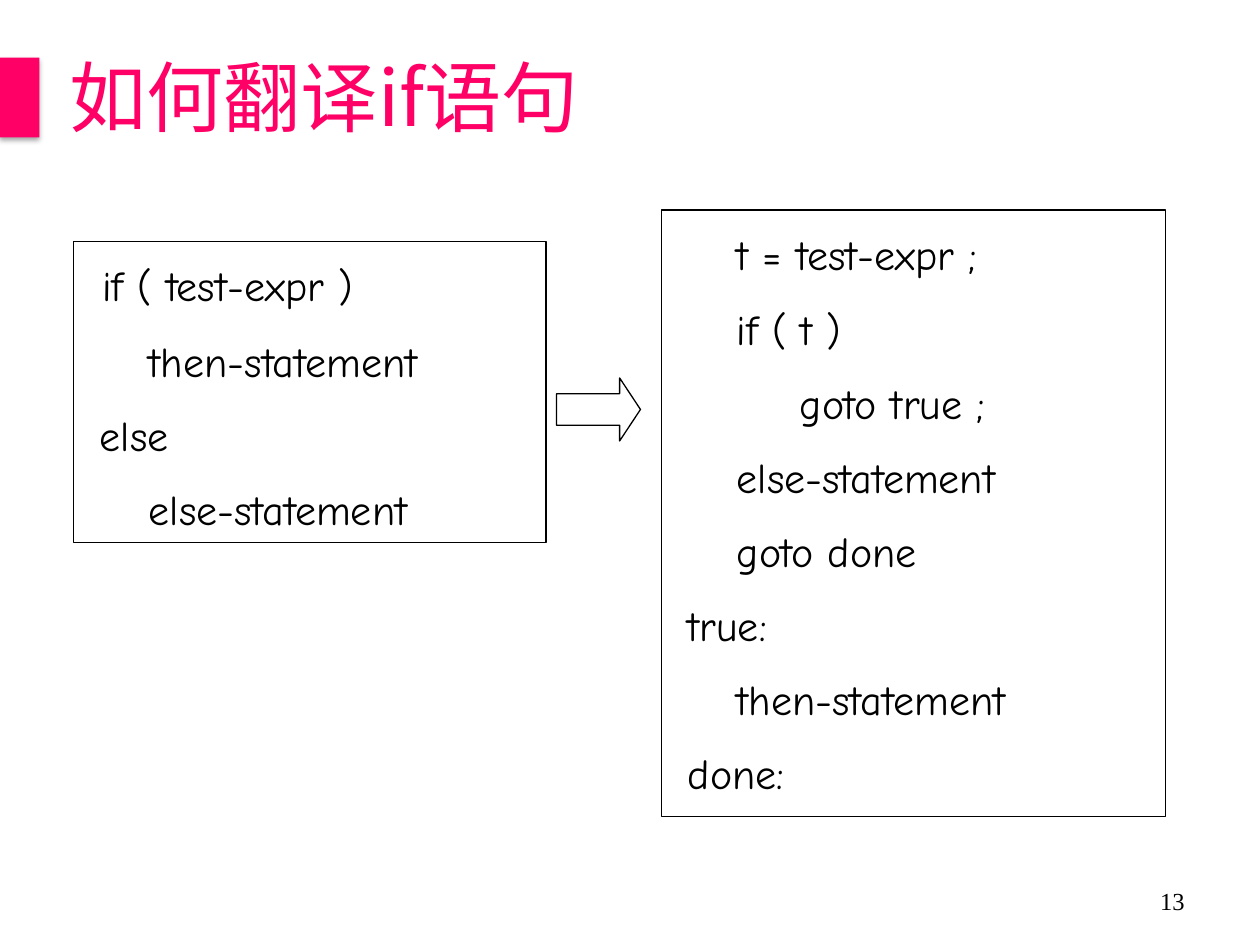
"""Build the slide that shows how an if statement is translated."""
from dataclasses import dataclass

import lxml.etree
import pptx
import pptx.dml.color
import pptx.enum.shapes
import pptx.enum.text
import pptx.oxml
import pptx.oxml.ns
import pptx.util

Pt = pptx.util.Pt
MSO_SHAPE = pptx.enum.shapes.MSO_SHAPE
ANCHOR = pptx.enum.text.MSO_ANCHOR
ALIGN = pptx.enum.text.PP_ALIGN
BLACK = pptx.dml.color.RGBColor(0, 0, 0)
PINK = pptx.dml.color.RGBColor(0xFF, 0x00, 0x66)
CODE_FONT = "Comic Neue"
TAB_STOPS = (36, 72)
NS = "http://schemas.openxmlformats.org/drawingml/2006/main"


@dataclass(frozen=True)
class Box:
    left: float
    top: float
    width: float
    height: float

    def lengths(self) -> tuple:
        return Pt(self.left), Pt(self.top), Pt(self.width), Pt(self.height)


@dataclass(frozen=True)
class Listing:
    box: Box
    lead: str
    lines: tuple


@dataclass(frozen=True)
class Label:
    box: Box
    text: str
    font: dict
    frame: dict
    align: ALIGN = ALIGN.LEFT


LISTINGS = (
    Listing(Box(42, 138, 270, 172), " ", (
        "if ( test-expr )", "\tthen-statement", " else", "\telse-statement")),
    Listing(Box(378, 120, 288, 346.5), " \t", (
        "t = test-expr ;", " \tif ( t )", "\t\tgoto true ;", " \telse-statement",
        " \tgoto done", " true:", "\tthen-statement", " done:")),
)
LABELS = (
    Label(Box(516, 500.5, 168, 28.5), "13",
          {"name": "Times New Roman", "size": Pt(14)}, {}, ALIGN.RIGHT),
    Label(Box(22.5, 0, 697.5, 111.5), "如何翻译if语句",
          {"name": "Noto Sans CJK SC", "size": Pt(44)},
          {"margin_left": Pt(17.5), "margin_bottom": Pt(6)}),
)
LABEL_COLORS = (BLACK, PINK)


def apply(target, values: dict) -> None:
    """Set each named attribute on the target."""
    for name, value in values.items():
        setattr(target, name, value)


def add_outline(slide, kind, box: Box):
    """Add an unfilled shape with a thin black line."""
    shape = slide.shapes.add_shape(kind, *box.lengths())
    shape.shadow.inherit = False
    shape.fill.background()
    shape.line.color.rgb = BLACK
    shape.line.width = Pt(0.75)
    return shape


def add_code_run(paragraph, text: str, size: float) -> None:
    """Add one run of code text."""
    run = paragraph.add_run()
    run.text = text
    apply(run.font, {"name": CODE_FONT, "size": Pt(size)})
    run.font.color.rgb = BLACK


def add_listing(slide, listing: Listing) -> None:
    """Draw a framed code listing with one paragraph a line."""
    frame = add_outline(slide, MSO_SHAPE.RECTANGLE, listing.box).text_frame
    apply(frame, {"word_wrap": True, "vertical_anchor": ANCHOR.TOP,
                  "margin_top": Pt(6.5)})
    for index, line in enumerate(listing.lines):
        paragraph = frame.add_paragraph() if index else frame.paragraphs[0]
        paragraph.alignment = ALIGN.LEFT
        if index:
            paragraph.space_before = Pt(13.5)
        else:
            add_code_run(paragraph, listing.lead, 28)
        tabs = lxml.etree.SubElement(
            paragraph._p.get_or_add_pPr(), pptx.oxml.ns.qn("a:tabLst"))
        for stop in TAB_STOPS:
            lxml.etree.SubElement(tabs, pptx.oxml.ns.qn("a:tab"),
                                  pos=str(Pt(stop)), algn="l")
        add_code_run(paragraph, line, 24)


def add_label(slide, label: Label, color) -> None:
    """Draw a line of text centred vertically in its box."""
    frame = slide.shapes.add_textbox(*label.box.lengths()).text_frame
    apply(frame, {"word_wrap": True, "vertical_anchor": ANCHOR.MIDDLE} | label.frame)
    paragraph = frame.paragraphs[0]
    paragraph.alignment = label.align
    run = paragraph.add_run()
    run.text = label.text
    apply(run.font, label.font)
    run.font.color.rgb = color
    lxml.etree.SubElement(run._r.get_or_add_rPr(), pptx.oxml.ns.qn("a:ea"),
                          typeface=label.font["name"])


def add_title_marker(slide) -> None:
    """Draw the shadowed block at the left of the title."""
    marker = slide.shapes.add_shape(
        MSO_SHAPE.RECTANGLE, *Box(0, 33, 22.5, 45.5).lengths())
    marker.fill.solid()
    marker.fill.fore_color.rgb = PINK
    marker.line.fill.background()
    marker._element.spPr.append(pptx.oxml.parse_xml(
        f'<a:effectLst xmlns:a="{NS}"><a:outerShdw blurRad="{Pt(3.1)}" '
        f'dist="{Pt(1.8)}" dir="5400000" rotWithShape="0"><a:srgbClr val="000000">'
        '<a:alpha val="35000"/></a:srgbClr></a:outerShdw></a:effectLst>'))


def main() -> None:
    """Build and save the slide."""
    deck = pptx.Presentation()
    apply(deck, {"slide_width": Pt(720), "slide_height": Pt(540)})
    slide = deck.slides.add_slide(deck.slide_layouts[6])
    for listing in LISTINGS:
        add_listing(slide, listing)
    arrow = add_outline(slide, MSO_SHAPE.RIGHT_ARROW, Box(318, 216, 48, 36))
    arrow.adjustments[1] = 0.33
    for label, color in zip(LABELS, LABEL_COLORS):
        add_label(slide, label, color)
    add_title_marker(slide)
    deck.save("out.pptx")


if __name__ == "__main__":
    main()
